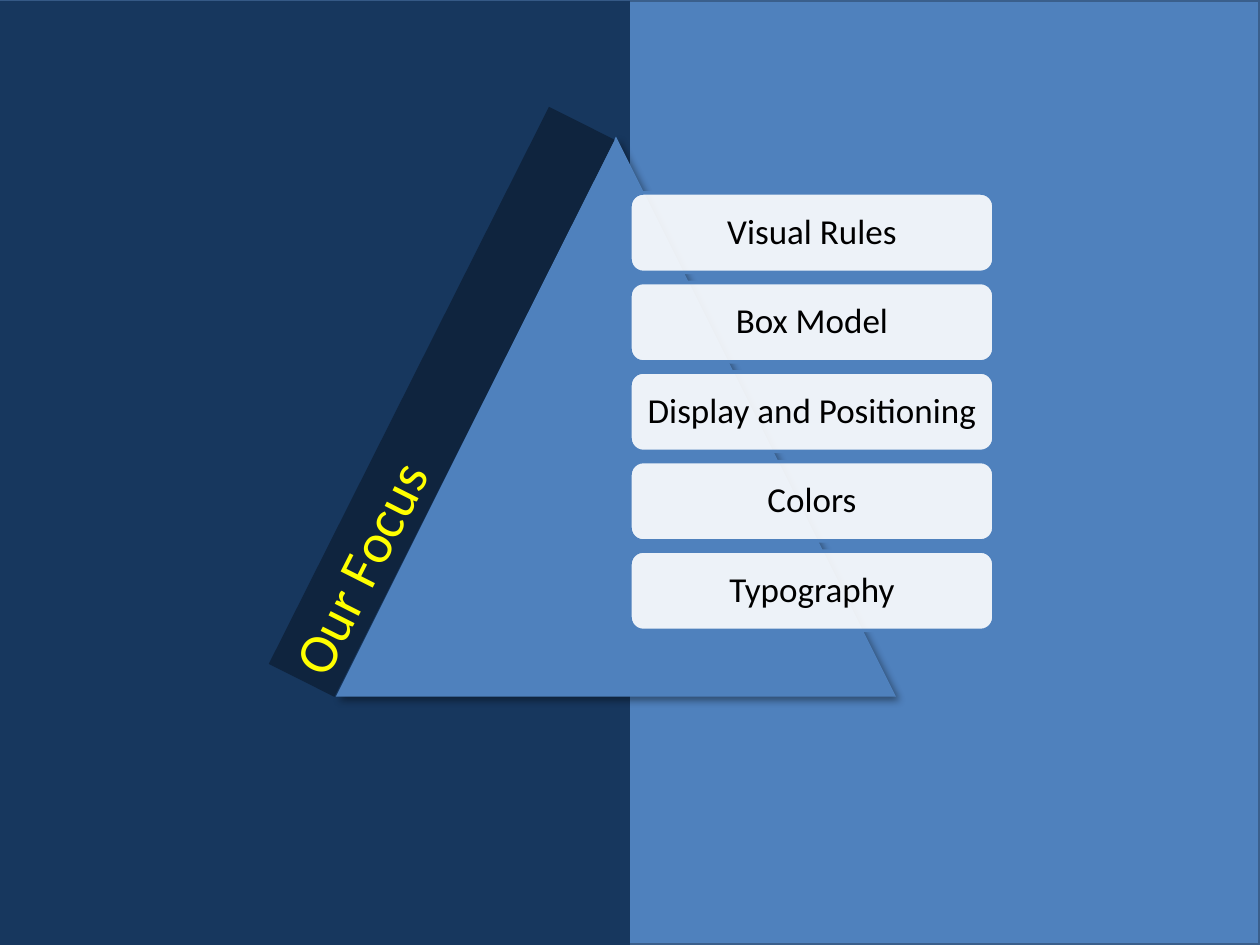
from dataclasses import dataclass

from lxml.etree import SubElement
from pptx import Presentation
from pptx.dml.color import RGBColor
from pptx.enum.shapes import MSO_SHAPE as Shape
from pptx.enum.text import MSO_ANCHOR as Anchor, MSO_AUTO_SIZE as AutoSize, PP_ALIGN as Align
from pptx.oxml.ns import qn
from pptx.util import Pt


@dataclass(frozen=True)
class Theme:
    font: str = "Calibri"
    blue: str = "4F81BD"
    edge: str = "3A5F8C"
    navy: str = "17375E"
    banner: str = "0F243E"
    white: str = "FFFFFF"
    black: str = "000000"
    yellow: str = "FFFF00"
    title_size: float = 32
    card_size: float = 20
    line_width: float = 2


THEME = Theme()
TOPICS = ["Visual Rules", "Box Model", "Display and Positioning", "Colors", "Typography"]
CARD_TOP, CARD_PITCH = 110.3, 51.15


def set_all(target, values):
    for name, value in values.items():
        setattr(target, name, value)


def place(shape, left, top, width, height):
    set_all(shape, {"left": Pt(left), "top": Pt(top), "width": Pt(width), "height": Pt(height)})


def paint(shape, color):
    shape.fill.solid()
    shape.fill.fore_color.rgb = RGBColor.from_string(color)


def add_block(page, kind, bounds, fill, line=None):
    block = page.shapes.add_shape(kind, *map(Pt, bounds))
    block.shadow.inherit = False
    paint(block, fill)
    if line:
        block.line.color.rgb = RGBColor.from_string(line)
        block.line.width = Pt(THEME.line_width)
    else:
        block.line.fill.background()
    return block


def set_alpha(parent, percent):
    SubElement(parent, qn("a:alpha"), val=str(percent * 1000))


def add_shadow(shape, color, opacity, blur, distance, angle):
    effects = shape.element.spPr.find(qn("a:effectLst"))
    shadow = SubElement(effects, qn("a:outerShdw"), blurRad=str(Pt(blur)),
                        dist=str(Pt(distance)), dir=str(angle * 60000), rotWithShape="0")
    set_alpha(SubElement(shadow, qn("a:srgbClr"), val=color), opacity)


def write(shape, text, size, color, align, inset, spacing):
    frame = shape.text_frame
    set_all(frame, {"text": text, "word_wrap": True, "auto_size": AutoSize.NONE,
                    "vertical_anchor": Anchor.MIDDLE})
    set_all(frame, {f"margin_{side}": Pt(inset) for side in ("left", "top", "right", "bottom")})
    para = frame.paragraphs[0]
    set_all(para, {"alignment": align, "line_spacing": spacing})
    span = para.runs[0]
    set_all(span.font, {"name": THEME.font, "size": Pt(size)})
    span.font.color.rgb = RGBColor.from_string(color)


def add_card(page, text, top):
    card = add_block(page, Shape.ROUNDED_RECTANGLE, (360, top, 208, 45.4), THEME.white, THEME.blue)
    set_alpha(card.element.spPr.find(f"{qn('a:solidFill')}/{qn('a:srgbClr')}"), 90)
    write(card, text, THEME.card_size, THEME.black, Align.CENTER, 6, 0.9)


def add_title_banner(page, text):
    banner = page.shapes.title
    place(banner, 74.2, 208.6, 356.4, 42)
    banner.rotation = 296.7
    paint(banner, THEME.banner)
    write(banner, text, THEME.title_size, THEME.yellow, Align.JUSTIFY, 7.2, 1)
    banner.element.getparent().append(banner.element)


def main():
    deck = Presentation()
    set_all(deck, {"slide_width": Pt(720), "slide_height": Pt(540)})
    page = deck.slides.add_slide(deck.slide_layouts.get_by_name("Title Only"))
    add_block(page, Shape.RECTANGLE, (0, 0, 720, 540), THEME.blue, THEME.edge)
    add_block(page, Shape.RECTANGLE, (0, 0.6, 360, 540), THEME.navy)
    triangle = add_block(page, Shape.ISOSCELES_TRIANGLE, (192, 78, 320, 320), THEME.blue)
    add_shadow(triangle, THEME.black, opacity=40, blur=4, distance=3, angle=45)
    for row, topic in enumerate(TOPICS):
        add_card(page, topic, CARD_TOP + row * CARD_PITCH)
    add_title_banner(page, "Our Focus")
    deck.save("out.pptx")


if __name__ == "__main__":
    main()
